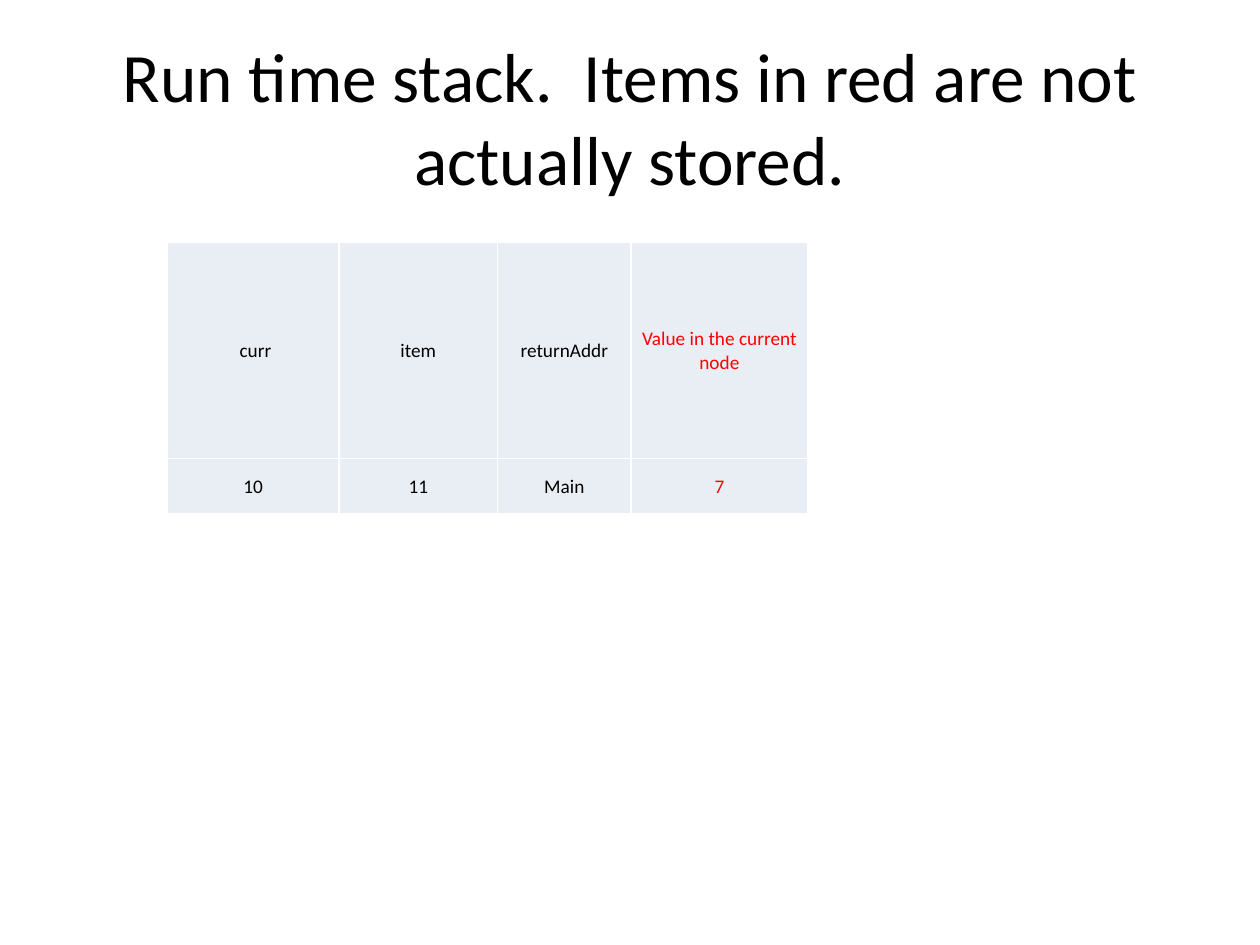
from pptx import Presentation
from pptx.dml.color import RGBColor
from pptx.enum import text
from pptx.util import Inches, Pt

BLACK = RGBColor(0x00, 0x00, 0x00)
RED = RGBColor(0xFF, 0x00, 0x00)
PALE_BLUE = RGBColor(0xE9, 0xED, 0xF4)
FONT = "Calibri"

TITLE = "Run time stack.  Items in red are not actually stored."
STACK = [
    [" curr", "item", "returnAddr", "Value in the current node"],
    ["10", "11", "Main", "7"],
]
NOT_STORED_COLUMN = 3
COLUMN_WIDTHS = [1.36, 1.26, 1.06, 1.4]
ROW_HEIGHTS = [1.72, 0.44]


def format_text(tf, size, color):
    tf.vertical_anchor = text.MSO_ANCHOR.MIDDLE
    for p in tf.paragraphs:
        p.alignment = text.PP_ALIGN.CENTER
        p.font.name = FONT
        p.font.size = Pt(size)
        p.font.color.rgb = color


def add_title(s):
    title = s.shapes.title
    title.left, title.top = Inches(0.5), Inches(0.3)
    title.width, title.height = Inches(9), Inches(1.25)
    tf = title.text_frame
    tf.text = TITLE
    tf.auto_size = text.MSO_AUTO_SIZE.NONE
    format_text(tf, 39.6, BLACK)


def add_stack_table(s):
    table = s.shapes.add_table(
        len(STACK), len(COLUMN_WIDTHS), Inches(1.33), Inches(1.92),
        Inches(sum(COLUMN_WIDTHS)), Inches(sum(ROW_HEIGHTS))).table
    table.first_row = table.horz_banding = False
    for column, width in zip(table.columns, COLUMN_WIDTHS):
        column.width = Inches(width)
    for row, height, values in zip(table.rows, ROW_HEIGHTS, STACK):
        row.height = Inches(height)
        for i, (cell, value) in enumerate(zip(row.cells, values)):
            cell.text = value
            cell.fill.solid()
            cell.fill.fore_color.rgb = PALE_BLUE
            cell.margin_left = cell.margin_right = cell.margin_top = Inches(0.01)
            cell.margin_bottom = 0
            format_text(cell.text_frame, 11, RED if i == NOT_STORED_COLUMN else BLACK)
            cell.vertical_anchor = text.MSO_ANCHOR.MIDDLE


def main():
    prs = Presentation()
    prs.slide_width, prs.slide_height = Inches(10), Inches(7.5)
    s = prs.slides.add_slide(prs.slide_layouts[5])
    add_title(s)
    add_stack_table(s)
    prs.save("out.pptx")


if __name__ == "__main__":
    main()
